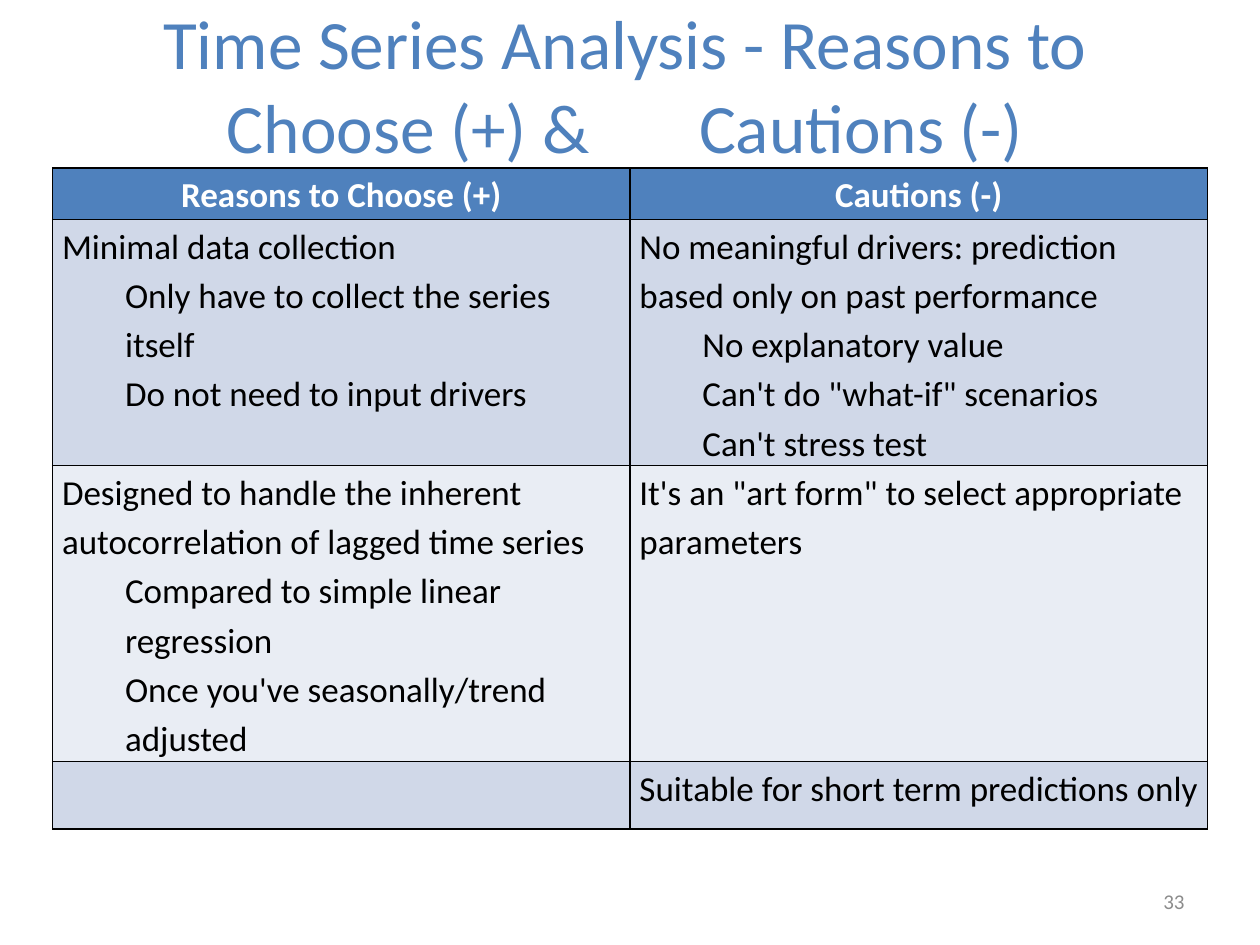
"""Builds a slide weighing reasons to choose time series analysis against its cautions."""
import pptx
import pptx.util
import pptx.dml.color
import pptx.enum.text
import pptx.oxml
import pptx.oxml.ns

Cm = pptx.util.Cm
Pt = pptx.util.Pt
ALIGN = pptx.enum.text.PP_ALIGN
MIDDLE = pptx.enum.text.MSO_ANCHOR.MIDDLE

COLORS = {
    "blue": "4F81BD",
    "band": "D0D8E8",
    "light": "E9EDF4",
    "white": "FFFFFF",
    "black": "000000",
    "gray": "8C8C8C",
}


def write(paragraph, text, size=20, color="black", bold=False, align=ALIGN.LEFT, spacing=1.0, indent=0):
    paragraph.alignment = align
    paragraph.line_spacing = spacing
    if indent:
        properties = paragraph._p.get_or_add_pPr()
        properties.set("marL", str(indent))
        properties.set("indent", "0")
    run = paragraph.add_run()
    run.text = text
    run.font.name = "Calibri"
    run.font.size = Pt(size)
    run.font.bold = bold
    run.font.color.rgb = pptx.dml.color.RGBColor.from_string(COLORS[color])


def format_cell(cell, fill):
    cell.margin_left = cell.margin_right = Cm(0.19)
    cell.margin_top = cell.margin_bottom = 0
    for side in ("lnL", "lnR", "lnT", "lnB"):
        cell._tc.get_or_add_tcPr().append(pptx.oxml.parse_xml(
            f'<a:{side} {pptx.oxml.ns.nsdecls("a")} w="{Pt(1)}"><a:solidFill>'
            f'<a:srgbClr val="{COLORS["black"]}"/></a:solidFill></a:{side}>'))
    cell.fill.solid()
    cell.fill.fore_color.rgb = pptx.dml.color.RGBColor.from_string(COLORS[fill])


presentation = pptx.Presentation()
presentation.slide_width = Cm(25.4)
presentation.slide_height = Cm(19.05)
slide = presentation.slides.add_slide(presentation.slide_layouts[5])

title = slide.shapes.title
title.left, title.top, title.width, title.height = Cm(0.85), Cm(0.64), Cm(23.5), Cm(2.1)
title.text_frame.auto_size = pptx.enum.text.MSO_AUTO_SIZE.NONE
title.text_frame.vertical_anchor = MIDDLE
write(title.text_frame.paragraphs[0], "Time Series Analysis - Reasons to Choose (+) & \t  Cautions (-)",
      size=39.6, color="blue", align=ALIGN.CENTER)

rows = [
    (1.03, "blue", ["Reasons to Choose (+)"], ["Cautions (-)"]),
    (4.96, "band",
     ["Minimal data collection",
      "Only have to collect the series itself",
      "Do not need to input drivers"],
     ["No meaningful drivers: prediction based only on past performance",
      "No explanatory value",
      "Can't do \"what-if\" scenarios",
      "Can't stress test"]),
    (5.96, "light",
     ["Designed to handle the inherent autocorrelation of lagged time series",
      "Compared to simple linear regression",
      "Once you've seasonally/trend adjusted"],
     ["It's an \"art form\" to select appropriate parameters"]),
    (1.37, "band", [], ["Suitable for short term predictions only"]),
]
table_height = sum(row[0] for row in rows)
table = slide.shapes.add_table(len(rows), 2, Cm(1.06), Cm(3.39), Cm(23.28), Cm(table_height)).table
for row_index, (height, fill, *columns) in enumerate(rows):
    table.rows[row_index].height = Cm(height)
    header = row_index == 0
    for column_index, lines in enumerate(columns):
        cell = table.cell(row_index, column_index)
        format_cell(cell, fill)
        for line_index, line in enumerate(lines):
            frame = cell.text_frame
            paragraph = frame.add_paragraph() if line_index else frame.paragraphs[0]
            write(paragraph, line, color="white" if header else "black", bold=header,
                  align=ALIGN.CENTER if header else ALIGN.LEFT, spacing=1.15,
                  indent=Cm(1.27) if line_index else 0)

page_number = slide.shapes.add_textbox(Cm(18.2), Cm(17.66), Cm(5.93), Cm(1.01))
page_number.text_frame.word_wrap = True
page_number.text_frame.vertical_anchor = MIDDLE
write(page_number.text_frame.paragraphs[0], "33", size=12, color="gray", align=ALIGN.RIGHT)

presentation.save("out.pptx")
